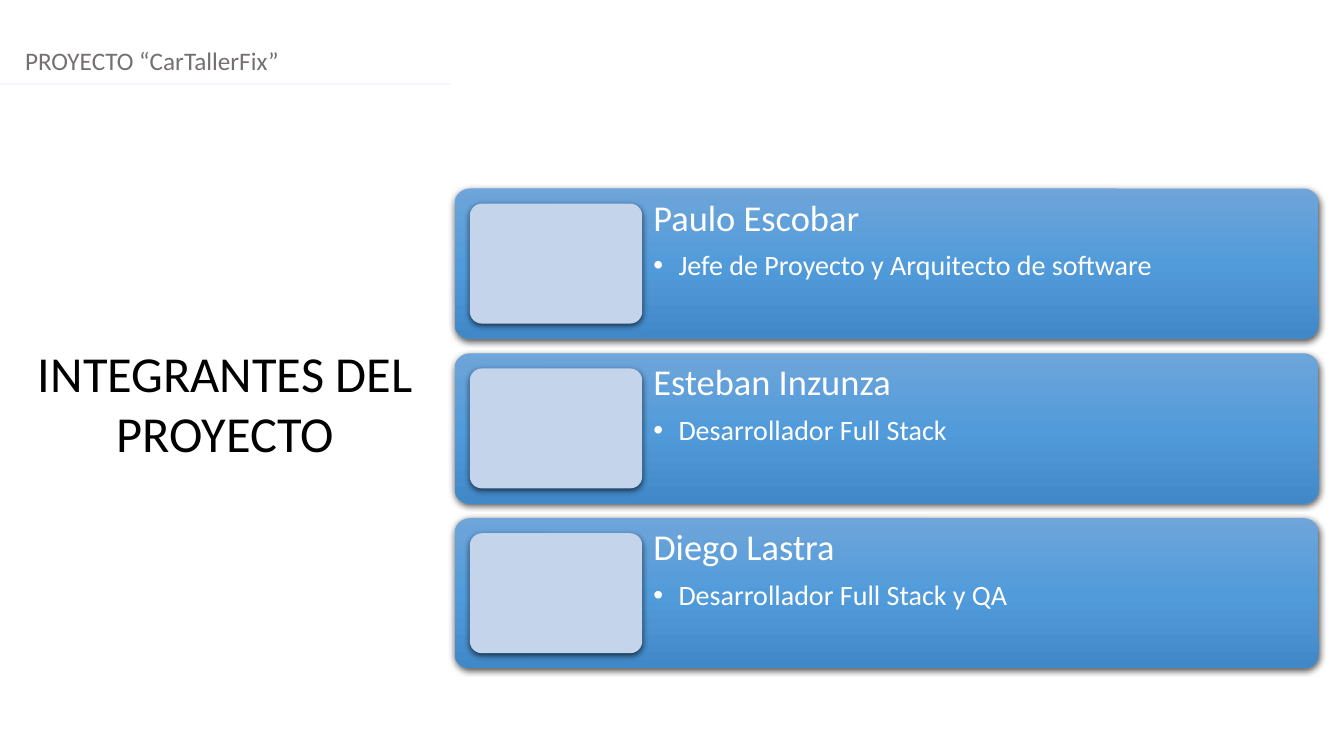
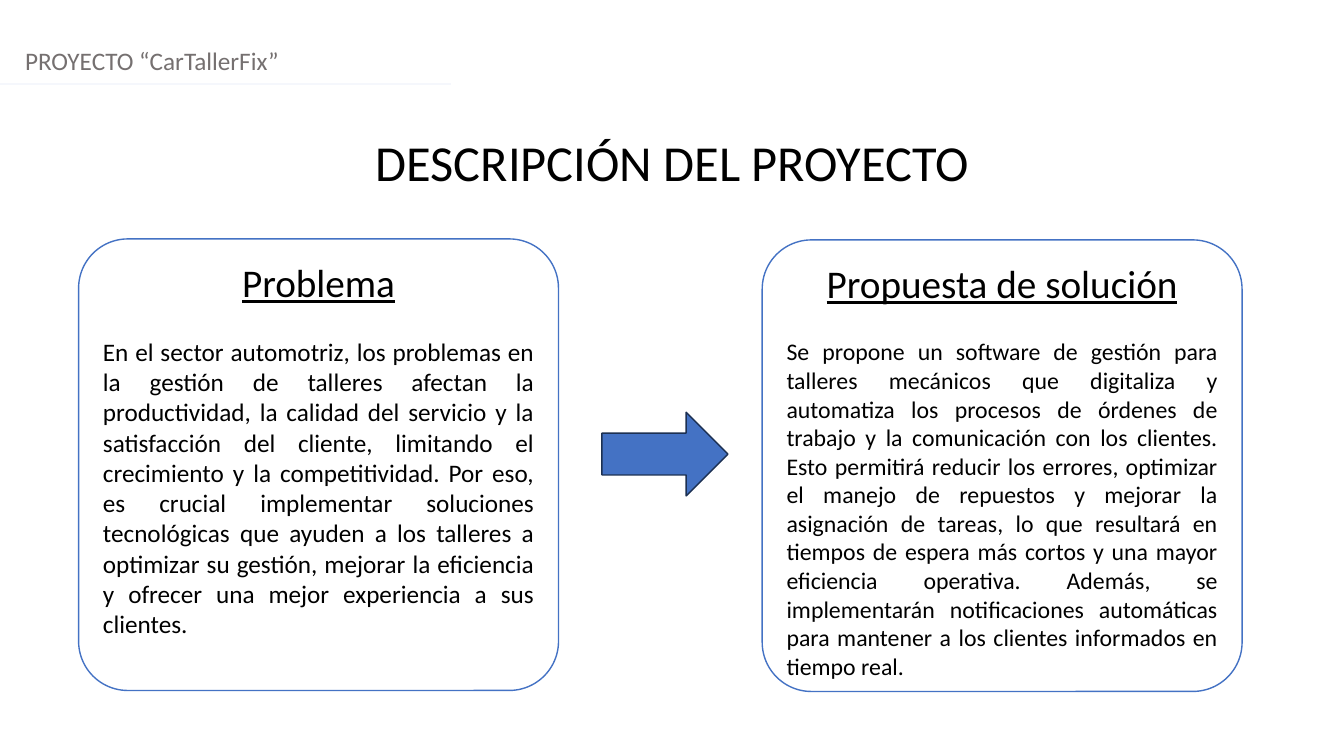
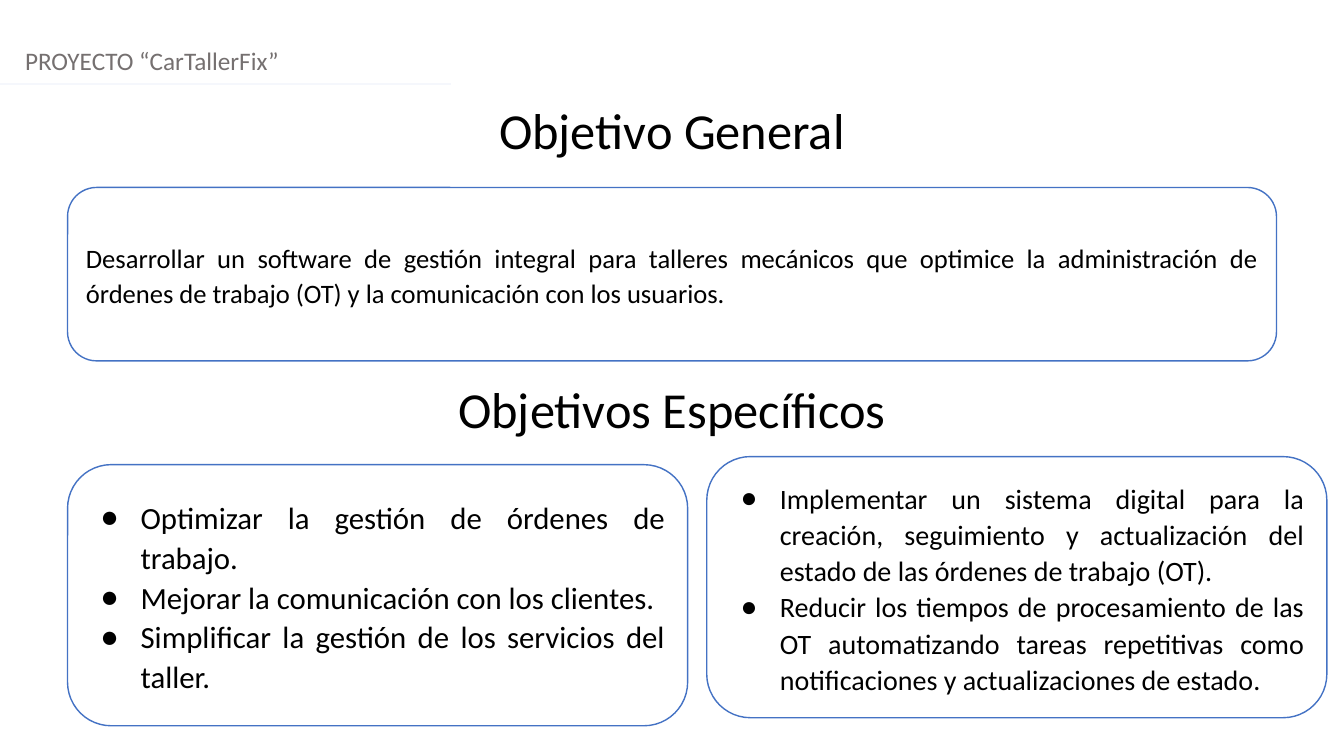
from copy import deepcopy

from pptx import Presentation
from pptx.dml.color import RGBColor
from pptx.enum.shapes import MSO_CONNECTOR, MSO_SHAPE
from pptx.enum.text import MSO_ANCHOR, PP_ALIGN
from pptx.oxml import parse_xml
from pptx.oxml.ns import nsdecls, qn
from pptx.oxml.xmlchemy import OxmlElement
from pptx.util import Inches, Pt

FONT = "Calibri"
BLACK = RGBColor(0x00, 0x00, 0x00)
WHITE = RGBColor(0xFF, 0xFF, 0xFF)
GRAY = RGBColor(0x75, 0x70, 0x70)
BLUE = RGBColor(0x44, 0x72, 0xC4)
NAVY = RGBColor(0x1C, 0x30, 0x52)
PALE_BLUE = RGBColor(0xC3, 0xD4, 0xEB)
RULE = RGBColor(0xF5, 0xF7, 0xFC)
CARD_GRADIENT = (
    RGBColor(0x6E, 0xA5, 0xDA),
    RGBColor(0x52, 0x9B, 0xDA),
    RGBColor(0x41, 0x88, 0xC8),
)

SLIDE_WIDTH = 13.33
HEADER = "PROYECTO “CarTallerFix”"
TITLE_SIZE = 36

MEMBERS = [
    ("Paulo Escobar", "Jefe de Proyecto y Arquitecto de software"),
    ("Esteban Inzunza", "Desarrollador Full Stack"),
    ("Diego Lastra", "Desarrollador Full Stack y QA"),
]
PROBLEM = (
    "En el sector automotriz, los problemas en la gestión de talleres afectan la "
    "productividad, la calidad del servicio y la satisfacción del cliente, limitando "
    "el crecimiento y la competitividad. Por eso, es crucial implementar soluciones "
    "tecnológicas que ayuden a los talleres a optimizar su gestión, mejorar la "
    "eficiencia y ofrecer una mejor experiencia a sus clientes."
)
SOLUTION = (
    "Se propone un software de gestión para talleres mecánicos que digitaliza y "
    "automatiza los procesos de órdenes de trabajo y la comunicación con los clientes. "
    "Esto permitirá reducir los errores, optimizar el manejo de repuestos y mejorar la "
    "asignación de tareas, lo que resultará en tiempos de espera más cortos y una mayor "
    "eficiencia operativa. Además, se implementarán notificaciones automáticas para "
    "mantener a los clientes informados en tiempo real."
)
GENERAL_GOAL = (
    "Desarrollar un software de gestión integral para talleres mecánicos que optimice "
    "la administración de órdenes de trabajo (OT) y la comunicación con los usuarios."
)
GOALS_LEFT = [
    "Optimizar la gestión de órdenes de trabajo.",
    "Mejorar la comunicación con los clientes.",
    "Simplificar la gestión de los servicios del taller.",
]
GOALS_RIGHT = [
    "Implementar un sistema digital para la creación, seguimiento y actualización "
    "del estado de las órdenes de trabajo (OT).",
    "Reducir los tiempos de procesamiento de las OT automatizando tareas repetitivas "
    "como notificaciones y actualizaciones de estado.",
]


def add_para(frame, text, size, color=BLACK, align=PP_ALIGN.LEFT, underline=False,
             spacing=None, before=0, after=0):
    """Write into the frame's empty first paragraph, or append a new one."""
    first = frame.paragraphs[0]
    para = frame.add_paragraph() if first.runs else first
    para.alignment = align
    para.space_before = Pt(before)
    para.space_after = Pt(after)
    if spacing:
        para.line_spacing = spacing
    span = para.add_run()
    span.text = text
    span.font.name = FONT
    span.font.size = Pt(size)
    span.font.color.rgb = color
    span.font.underline = underline
    return para


def add_bullet(para, char, color, left, hanging):
    properties = para._p.get_or_add_pPr()
    properties.set("marL", str(Inches(left)))
    properties.set("indent", str(-Inches(hanging)))
    properties.append(parse_xml(
        f'<a:buClr {nsdecls("a")}><a:srgbClr val="{color}"/></a:buClr>'))
    properties.append(parse_xml(f'<a:buFont {nsdecls("a")} typeface="Arial"/>'))
    properties.append(parse_xml(f'<a:buChar {nsdecls("a")} char="{char}"/>'))


def add_text_box(page, left, top, width, height):
    box = page.shapes.add_textbox(
        Inches(left), Inches(top), Inches(width), Inches(height))
    box.text_frame.word_wrap = True
    return box.text_frame


def add_title(page, text, left, top, width, height=0.71):
    frame = add_text_box(page, left, top, width, height)
    add_para(frame, text, TITLE_SIZE, align=PP_ALIGN.CENTER)


def add_preset(page, kind, left, top, width, height, fill=None, line=None, corner=None):
    shape = page.shapes.add_shape(
        kind, Inches(left), Inches(top), Inches(width), Inches(height))
    shape.shadow.inherit = False
    if fill is not None:
        shape.fill.solid()
        shape.fill.fore_color.rgb = fill
    if line is None:
        shape.line.fill.background()
    else:
        shape.line.color.rgb = line
        shape.line.width = Pt(1)
    if corner is not None:
        shape.adjustments[0] = corner
    return shape


def add_panel(page, left, top, width, height, corner=0.167, anchor=MSO_ANCHOR.MIDDLE):
    """Add a white outlined rounded box and return its text frame."""
    panel = add_preset(page, MSO_SHAPE.ROUNDED_RECTANGLE, left, top, width, height,
                       WHITE, BLUE, corner)
    frame = panel.text_frame
    frame.word_wrap = True
    frame.vertical_anchor = anchor
    return frame


def add_soft_shadow(shape):
    effects = shape._element.spPr.find(qn("a:effectLst"))
    effects.append(parse_xml(
        f'<a:outerShdw {nsdecls("a")} blurRad="{Pt(4.5)}" dist="{Pt(1.5)}" '
        'dir="5400000" algn="ctr" rotWithShape="0"><a:srgbClr val="000000">'
        '<a:alpha val="63000"/></a:srgbClr></a:outerShdw>'))


def fill_gradient(shape, colors):
    """Fill from top to bottom with three evenly spaced colours."""
    shape.fill.gradient()
    shape.fill.gradient_angle = 270
    stop_list = shape._element.spPr.find(".//" + qn("a:gsLst"))
    stop_list.append(deepcopy(stop_list[0]))
    for index, (stop, color) in enumerate(zip(shape.fill.gradient_stops, colors)):
        stop.color.rgb = color
        stop.position = index / (len(colors) - 1)


def add_page(deck):
    """Add a blank page with the shared header and its rule."""
    page = deck.slides.add_slide(deck.slide_layouts[6])
    add_para(add_text_box(page, 0.15, 0.4, SLIDE_WIDTH, 0.4), HEADER, 18, GRAY)
    rule = page.shapes.add_connector(
        MSO_CONNECTOR.STRAIGHT, 0, Inches(0.83), Inches(4.47), Inches(0.83))
    rule.line.color.rgb = RULE
    rule.line.width = Pt(1.25)
    rule._element.spPr.append(OxmlElement("a:effectLst"))
    return page


def add_member_card(page, top, name, role):
    height, margin = 1.49, 0.15
    card = add_preset(page, MSO_SHAPE.ROUNDED_RECTANGLE, 4.51, top, 8.57, height,
                      corner=0.1)
    fill_gradient(card, CARD_GRADIENT)
    add_soft_shadow(card)

    frame = add_text_box(page, 6.37, top, 6.7, height)
    frame.margin_left = frame.margin_right = Inches(0.11)
    frame.margin_top = frame.margin_bottom = Inches(0.11)
    add_para(frame, name, 26, WHITE, spacing=0.9)
    role_para = add_para(frame, role, 20, WHITE, spacing=0.9, before=9.1)
    add_bullet(role_para, "•", WHITE, 0.25, 0.25)

    photo = add_preset(page, MSO_SHAPE.ROUNDED_RECTANGLE, 4.51 + margin, top + margin,
                       1.71, height - 2 * margin, PALE_BLUE, corner=0.1)
    add_soft_shadow(photo)


def add_description_panel(page, left, top, heading, body, size):
    frame = add_panel(page, left, top, 4.76, 4.48, 0.109, MSO_ANCHOR.TOP)
    add_para(frame, heading, 28, align=PP_ALIGN.CENTER, underline=True, after=22)
    add_para(frame, body, size, align=PP_ALIGN.JUSTIFY)


def add_goal_panel(page, left, top, goals, size, hanging, first_before=0):
    frame = add_panel(page, left, top, 6.15, 2.59)
    for index, goal in enumerate(goals):
        para = add_para(frame, goal, size, align=PP_ALIGN.JUSTIFY, spacing=1.08,
                        before=0 if index else first_before)
        add_bullet(para, "●", BLACK, 0.5, hanging)


def build_team(deck):
    page = add_page(deck)
    for index, (name, role) in enumerate(MEMBERS):
        add_member_card(page, 1.87 + index * 1.635, name, role)
    add_title(page, "INTEGRANTES DEL PROYECTO", 0.26, 3.34, 3.95, 1.31)


def build_description(deck):
    page = add_page(deck)
    add_title(page, "DESCRIPCIÓN DEL PROYECTO", 1.57, 1.25, 10.2)
    add_description_panel(page, 0.78, 2.37, "Problema", PROBLEM, 18)
    add_description_panel(page, 7.56, 2.38, "Propuesta de solución", SOLUTION, 17)
    add_preset(page, MSO_SHAPE.RIGHT_ARROW, 5.97, 4.09, 1.25, 0.83, BLUE, NAVY)


def build_goals(deck):
    page = add_page(deck)
    add_title(page, "Objetivo General", 0, 0.93, SLIDE_WIDTH)
    add_title(page, "Objetivos Específicos", 0, 3.7, SLIDE_WIDTH)
    general = add_panel(page, 0.67, 1.86, 11.99, 1.72)
    add_para(general, GENERAL_GOAL, 19, align=PP_ALIGN.JUSTIFY, spacing=1.08, after=8)
    add_goal_panel(page, 0.67, 4.61, GOALS_LEFT, 22, 0.4, first_before=12)
    add_goal_panel(page, 7.01, 4.53, GOALS_RIGHT, 20, 0.39)


def main():
    deck = Presentation()
    deck.slide_width = Inches(SLIDE_WIDTH)
    deck.slide_height = Inches(7.5)
    build_team(deck)
    build_description(deck)
    build_goals(deck)
    deck.save("out.pptx")


if __name__ == "__main__":
    main()
